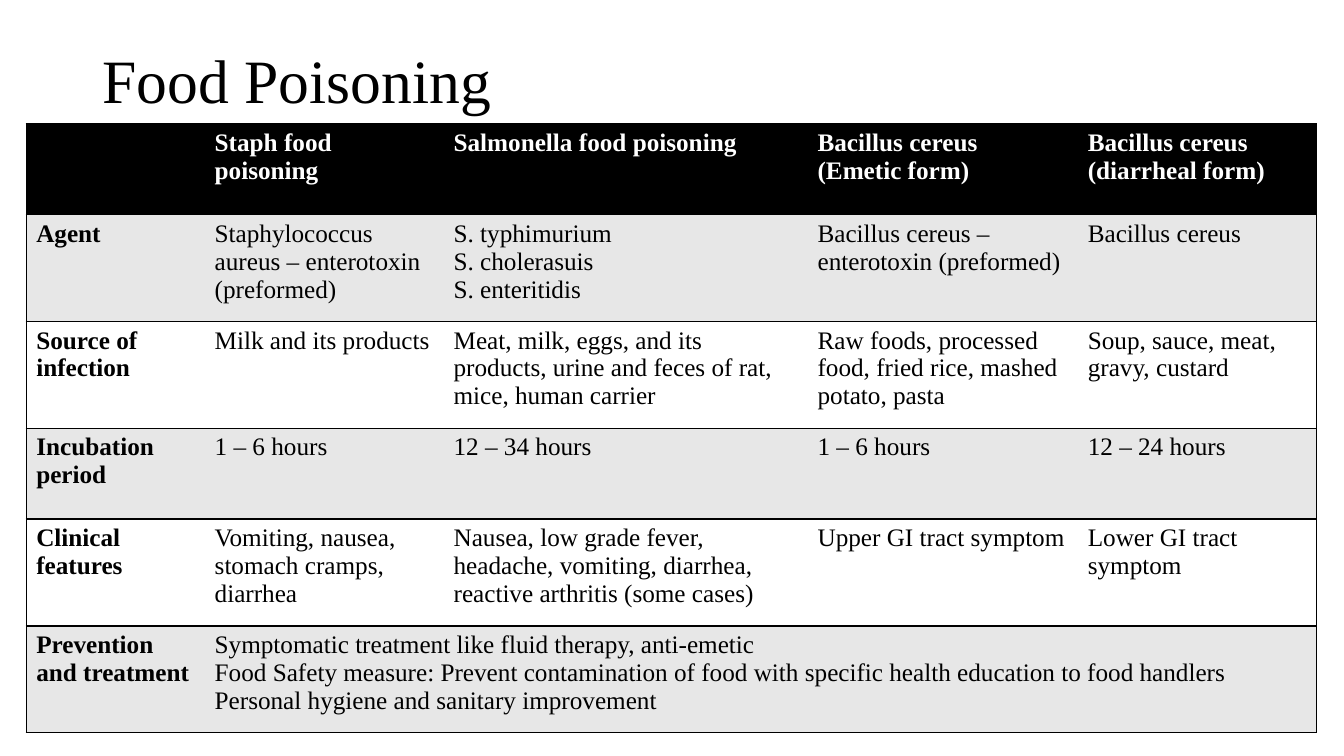
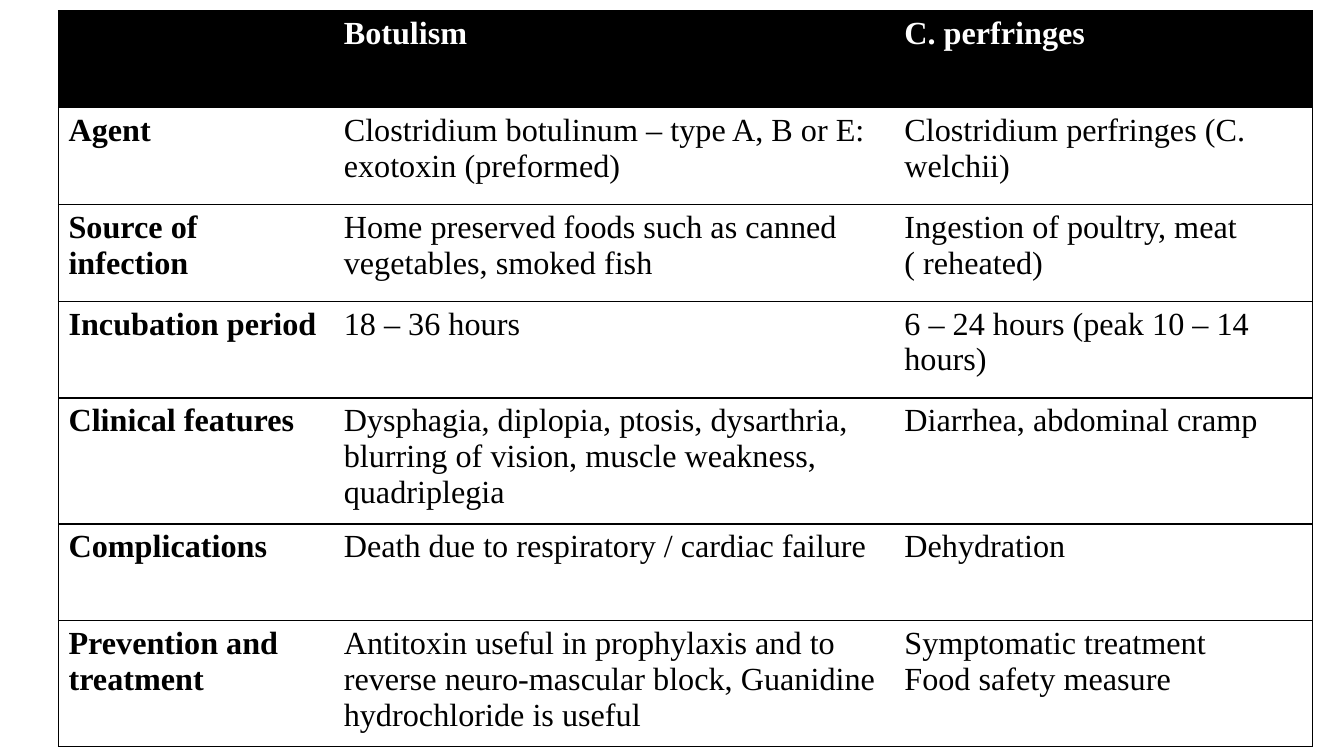
from lxml import etree
from pptx import Presentation
from pptx.dml.color import RGBColor
from pptx.enum.text import MSO_ANCHOR as Anchor
from pptx.oxml.ns import qn
from pptx.util import Inches, Pt

BLACK, WHITE, GREY = "000000", "FFFFFF", "E7E7E7"


def color(hex_value):
    return RGBColor.from_string(hex_value)


def set_border(cell, side, visible):
    """Draw or hide one side (L, R, T or B) of a cell."""
    properties = cell._tc.get_or_add_tcPr()
    line = etree.SubElement(properties, qn(f"a:ln{side}"), w=str(Pt(1)))
    if visible:
        fill = etree.SubElement(line, qn("a:solidFill"))
        etree.SubElement(fill, qn("a:srgbClr"), val=BLACK)
    else:
        etree.SubElement(line, qn("a:noFill"))


class DeckBuilder:
    font_name = "Times New Roman"

    def __init__(self):
        self.deck = Presentation()
        self.deck.slide_width = Inches(13.33)
        self.deck.slide_height = Inches(7.5)
        self.page = None

    def add_page(self):
        self.page = self.deck.slides.add_slide(self.deck.slide_layouts[6])

    def format_font(self, font, hex_value, **values):
        for name, value in {"name": self.font_name, **values}.items():
            setattr(font, name, value)
        font.color.rgb = color(hex_value)

    def add_title(self, text):
        box = self.page.shapes.add_textbox(
            Inches(0.92), Inches(0.1), Inches(11.5), Inches(1.45))
        frame = box.text_frame
        frame.word_wrap = True
        frame.vertical_anchor = Anchor.MIDDLE
        para = frame.paragraphs[0]
        para.line_spacing = 0.9
        span = para.add_run()
        span.text = text
        self.format_font(span.font, BLACK, size=Pt(44))

    def add_comparison(self, left, top, widths, heights, rows, size, bands):
        """Add a ruled table; a row with too few texts merges its last cell to the right."""
        table = self.page.shapes.add_table(
            len(rows), len(widths), Inches(left), Inches(top),
            Inches(sum(widths)), Inches(sum(heights))).table
        for column, width in zip(table.columns, widths):
            column.width = Inches(width)
        for row, height in zip(table.rows, heights):
            row.height = Inches(height)

        for row_index, texts in enumerate(rows):
            header = row_index == 0
            fill = BLACK if header else bands[(row_index - 1) % len(bands)]
            last = len(texts) - 1
            for column_index in range(len(widths)):
                cell = table.cell(row_index, column_index)
                borders = {"L": column_index == 0, "R": column_index >= last,
                           "T": True, "B": True}
                for side, visible in borders.items():
                    set_border(cell, side, visible)
                cell.fill.solid()
                cell.fill.fore_color.rgb = color(fill)
                if column_index > last:
                    continue
                cell.text_frame.text = texts[column_index]
                for para in cell.text_frame.paragraphs:
                    self.format_font(para.font, WHITE if header else BLACK,
                                     size=Pt(size), bold=header or column_index == 0)
            if last < len(widths) - 1:
                table.cell(row_index, last).merge(table.cell(row_index, len(widths) - 1))


FOOD_POISONING = [
    ["", "Staph food poisoning", "Salmonella food poisoning",
     "Bacillus cereus (Emetic form)", "Bacillus cereus (diarrheal form)"],
    ["Agent", "Staphylococcus aureus – enterotoxin (preformed)",
     "S. typhimurium\nS. cholerasuis\nS. enteritidis",
     "Bacillus cereus – enterotoxin (preformed)", "Bacillus cereus"],
    ["Source of infection", "Milk and its products",
     "Meat, milk, eggs, and its products, urine and feces of rat, mice, human carrier",
     "Raw foods, processed food, fried rice, mashed potato, pasta",
     "Soup, sauce, meat, gravy, custard"],
    ["Incubation period", "1 – 6 hours", "12 – 34 hours", "1 – 6 hours", "12 – 24 hours"],
    ["Clinical features", "Vomiting, nausea, stomach cramps, diarrhea",
     "Nausea, low grade fever, headache, vomiting, diarrhea, "
     "reactive arthritis (some cases)",
     "Upper GI tract symptom", "Lower GI tract symptom"],
    ["Prevention and treatment",
     "Symptomatic treatment like fluid therapy, anti-emetic\n"
     "Food Safety measure: Prevent contamination of food with specific "
     "health education to food handlers\n"
     "Personal hygiene and sanitary improvement"],
]

CLOSTRIDIA = [
    ["", "Botulism", "C. perfringes"],
    ["Agent", "Clostridium botulinum – type A, B or E: exotoxin (preformed)",
     "Clostridium perfringes (C. welchii)"],
    ["Source of infection", "Home preserved foods such as canned vegetables, smoked fish",
     "Ingestion of poultry, meat ( reheated)"],
    ["Incubation period", "18 – 36 hours", "6 – 24 hours (peak 10 – 14 hours)"],
    ["Clinical features",
     "Dysphagia, diplopia, ptosis, dysarthria, blurring of vision, "
     "muscle weakness, quadriplegia",
     "Diarrhea, abdominal cramp"],
    ["Complications", "Death due to respiratory / cardiac failure", "Dehydration"],
    ["Prevention and treatment",
     "Antitoxin useful in prophylaxis and to reverse neuro-mascular block, "
     "Guanidine hydrochloride is useful",
     "Symptomatic treatment\nFood safety measure"],
]


def main():
    builder = DeckBuilder()

    builder.add_page()
    builder.add_title("Food Poisoning")
    builder.add_comparison(
        0.26, 1.23, [1.77, 2.37, 3.61, 2.68, 2.37],
        [0.9, 1.06, 1.06, 0.9, 1.06, 1.06],
        FOOD_POISONING, size=18, bands=[GREY, WHITE])

    builder.add_page()
    builder.add_comparison(
        0.58, 0.11, [2.73, 5.56, 4.15],
        [0.96, 0.96, 0.96, 0.96, 1.23, 0.96, 1.23],
        CLOSTRIDIA, size=23, bands=[WHITE])

    builder.deck.save("out.pptx")


if __name__ == "__main__":
    main()
